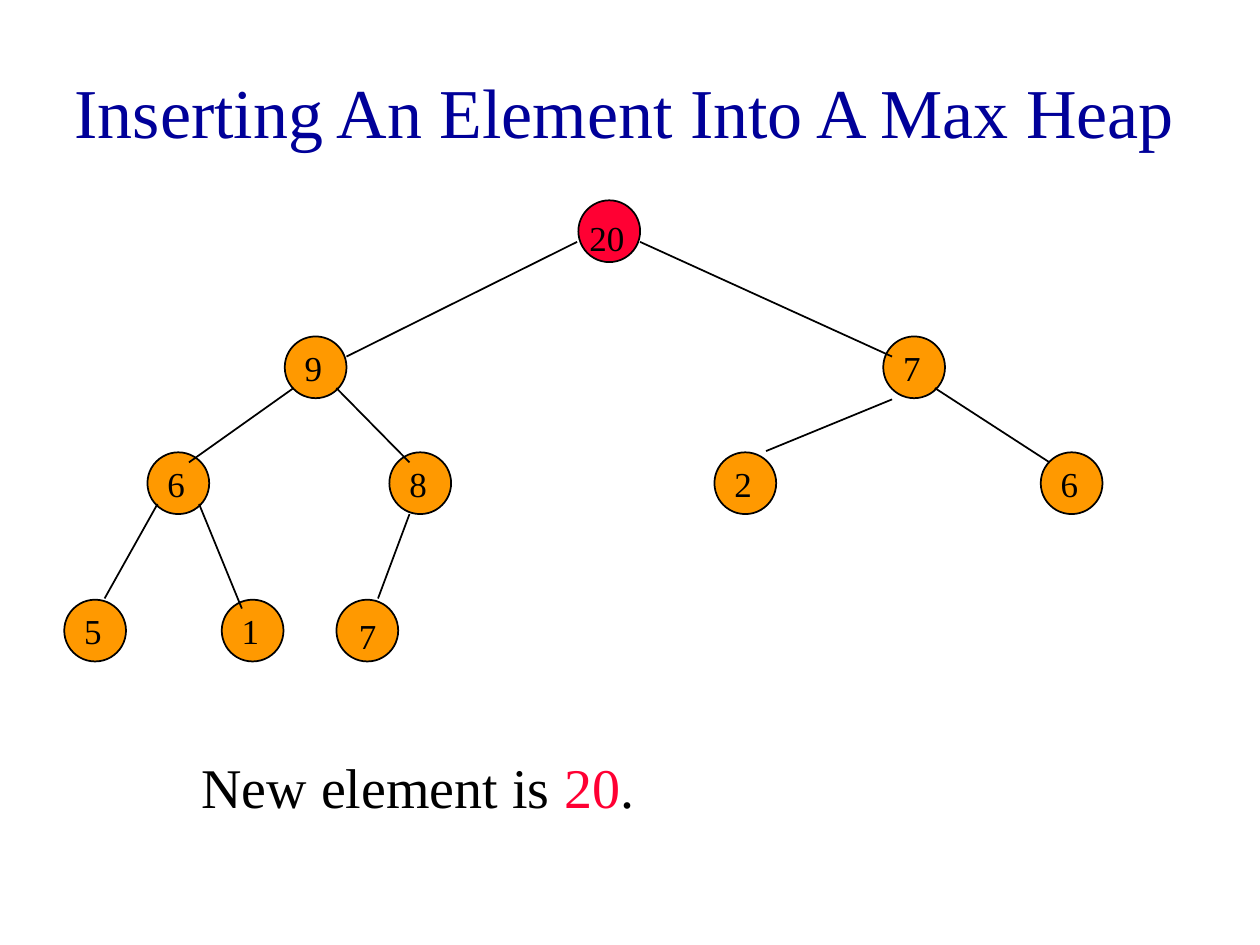
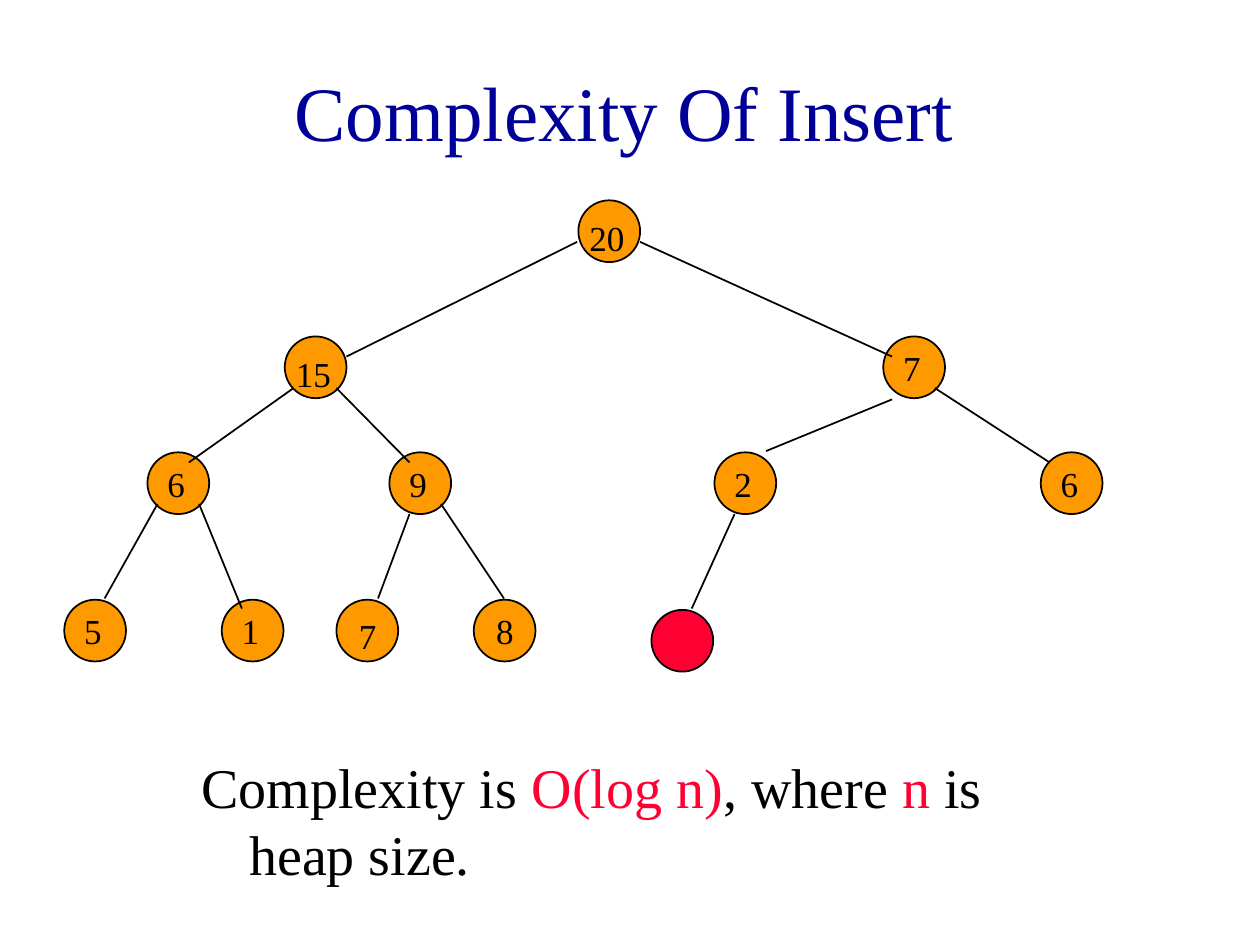
from dataclasses import dataclass

from lxml import etree
from pptx import Presentation
from pptx.dml.color import RGBColor
from pptx.enum.shapes import MSO_CONNECTOR as Connector, MSO_SHAPE as Shape
from pptx.enum.text import MSO_ANCHOR as Anchor, PP_ALIGN as Align
from pptx.oxml.ns import qn
from pptx.util import Inches, Pt


@dataclass(frozen=True)
class Theme:
    font: str = "Times New Roman"
    title: RGBColor = RGBColor(0x00, 0x00, 0x99)
    ink: RGBColor = RGBColor(0x00, 0x00, 0x00)
    node: RGBColor = RGBColor(0xFF, 0x99, 0x00)
    accent: RGBColor = RGBColor(0xFF, 0x00, 0x33)
    long_title_size: int = 40
    title_size: int = 44
    statement_size: int = 32
    label_size: int = 20
    line_width: int = 1


THEME = Theme()
DIAMETER = 0.49
LABEL_OFFSET = (0.06, 0.03)
DIGIT_WIDTH = 0.14
HANGING_INDENT = 0.38

# Positions and edges are keyed by heap index: node i has children 2i and 2i + 1.
LEVEL_TOPS = [1.59, 2.67, 3.59, 4.76]
NODE_LEFTS = {1: 4.59, 2: 2.26, 3: 7.01, 4: 1.17, 5: 3.09, 6: 5.67, 7: 8.26,
              8: 0.51, 9: 1.76, 10: 2.67, 11: 3.76, 12: 5.17}
NODE_TOPS = {index: LEVEL_TOPS[index.bit_length() - 1] for index in NODE_LEFTS}
NODE_TOPS[12] = 4.84
EDGES_FROM_PARENT = {
    2: (4.58, 1.92, 2.75, 2.83),
    3: (5.08, 1.92, 7.08, 2.83),
    4: (2.33, 3.08, 1.5, 3.67),
    5: (2.67, 3.08, 3.25, 3.67),
    6: (7.08, 3.17, 6.08, 3.58),
    7: (7.42, 3.08, 8.33, 3.67),
    8: (1.25, 4, 0.83, 4.75),
    9: (1.58, 4, 1.92, 4.83),
    10: (3.25, 4.08, 3, 4.75),
    11: (3.5, 4, 4, 4.75),
    12: (5.83, 4.08, 5.49, 4.83),
}
LABEL_OFFSETS = {1: (-0.01, 0.08), 10: (0.08, 0.07), 11: (0.08, 0.03)}


def apply_format(target, values):
    for name, value in values.items():
        setattr(target, name, value)


def add_text(slide, box, runs, size, frame_format=None, paragraph_format=None):
    """Add one paragraph made of (text, colour) runs; return the paragraph."""
    frame = slide.shapes.add_textbox(*map(Inches, box)).text_frame
    apply_format(frame, {"word_wrap": True, **(frame_format or {})})
    paragraph = frame.paragraphs[0]
    apply_format(paragraph, paragraph_format or {})
    for text, color in runs:
        run = paragraph.add_run()
        run.text = text
        apply_format(run.font, {"name": THEME.font, "size": Pt(size)})
        run.font.color.rgb = color
    return paragraph


def add_title(slide, text, size):
    add_text(slide, (0.08, 0.25, 9.75, 1.25), [(text, THEME.title)], size,
             {"vertical_anchor": Anchor.MIDDLE}, {"alignment": Align.CENTER})


def add_statement(slide, runs):
    paragraph = add_text(slide, (1.5, 5.92, 7, 0.25), runs, THEME.statement_size)
    properties = paragraph._p.get_or_add_pPr()
    properties.set("marL", str(Inches(HANGING_INDENT)))
    properties.set("indent", str(-Inches(HANGING_INDENT)))


def style_line(line):
    line.color.rgb = THEME.ink
    line.width = Pt(THEME.line_width)


def add_node(slide, index, color):
    box = (NODE_LEFTS[index], NODE_TOPS[index], DIAMETER, DIAMETER)
    node = slide.shapes.add_shape(Shape.OVAL, *map(Inches, box))
    node.shadow.inherit = False
    node.fill.solid()
    node.fill.fore_color.rgb = color
    style_line(node.line)


def add_edge(slide, child):
    ends = map(Inches, EDGES_FROM_PARENT[child])
    edge = slide.shapes.add_connector(Connector.STRAIGHT, *ends)
    style_line(edge.line)
    etree.SubElement(edge._element.spPr, qn("a:effectLst"))


def add_label(slide, index, key, offsets):
    left, top = offsets.get(index, LABEL_OFFSET)
    box = (NODE_LEFTS[index] + left, NODE_TOPS[index] + top,
           0.2 + DIGIT_WIDTH * len(key), 0.43)
    add_text(slide, box, [(key, THEME.ink)], THEME.label_size, {"word_wrap": False})


def add_heap(slide, keys, highlighted, moved_labels=None):
    """Draw the keys, given by heap index, with one node highlighted."""
    offsets = {**LABEL_OFFSETS, **(moved_labels or {})}
    for index in keys:
        add_node(slide, index, THEME.accent if index == highlighted else THEME.node)
    for index in keys:
        if index > 1:
            add_edge(slide, index)
    for index, key in keys.items():
        if key:
            add_label(slide, index, key, offsets)


def number_nodes(*keys):
    return dict(enumerate(keys, start=1))


def main():
    presentation = Presentation()
    apply_format(presentation, {"slide_width": Inches(10), "slide_height": Inches(7.5)})
    blank = presentation.slide_layouts[6]

    slide = presentation.slides.add_slide(blank)
    add_title(slide, "Inserting An Element Into A Max Heap", THEME.long_title_size)
    add_statement(slide, [("New element is ", THEME.ink), ("20", THEME.accent),
                          (".", THEME.ink)])
    add_heap(slide, number_nodes("20", "9", "7", "6", "8", "2", "6", "5", "1", "7"),
             highlighted=1)

    slide = presentation.slides.add_slide(blank)
    add_title(slide, "Complexity Of Insert", THEME.title_size)
    add_statement(slide, [("Complexity is ", THEME.ink), ("O(log n)", THEME.accent),
                          (", where ", THEME.ink), ("n ", THEME.accent),
                          ("is heap size.", THEME.ink)])
    add_heap(slide, number_nodes("20", "15", "7", "6", "9", "2", "6", "5", "1", "7",
                                 "8", ""),
             highlighted=12, moved_labels={2: (-0.01, 0.08)})

    presentation.save("out.pptx")


if __name__ == "__main__":
    main()
